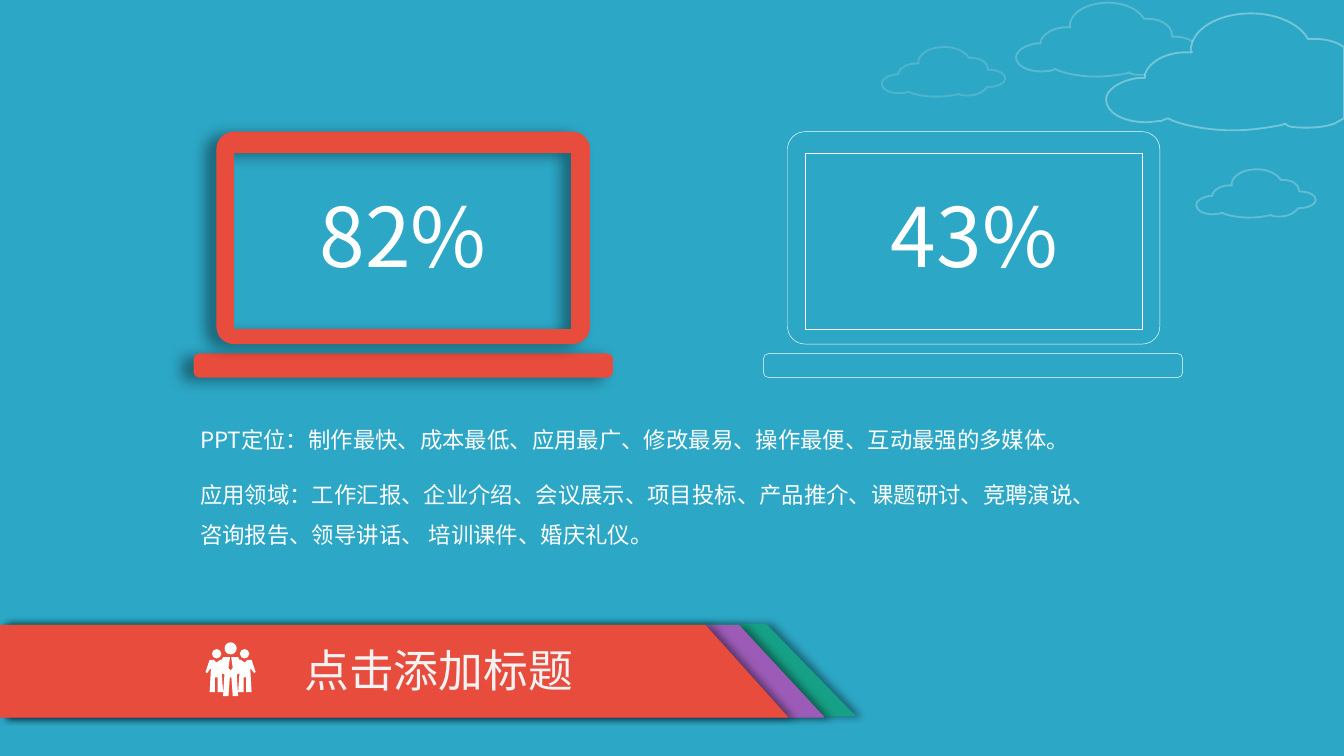
from lxml import etree
from pptx import Presentation
from pptx.dml.color import RGBColor
from pptx.enum.shapes import MSO_SHAPE
from pptx.enum.text import MSO_AUTO_SIZE, PP_ALIGN
from pptx.oxml.ns import qn
from pptx.util import Inches, Pt

RECTANGLE = MSO_SHAPE.RECTANGLE
GROW = MSO_AUTO_SIZE.SHAPE_TO_FIT_TEXT
LEFT, CENTER = PP_ALIGN.LEFT, PP_ALIGN.CENTER

FONT = "Noto Sans CJK SC"
COLORS = {"sky": "2CA7C6", "red": "E84C3D", "purple": "9C5BB7",
          "green": "16A086", "white": "FFFFFF", "title": "F2F2F2", "shadow": "000000"}
WIDTH, HEIGHT = 10, 10 * 9 / 16
UNITS = 1000  # freeform units per inch

BANNER_SHADOW = {"blur": 4, "distance": 3, "angle": 0}
LAPTOP_SHADOW = {"blur": 8, "distance": 6, "angle": 163}

# left, top, right at top, right at bottom, colour
STRIPES = [(0.02, 4.64, 5.7, 6.36, "green"),
           (0, 4.65, 5.5, 6.13, "purple"),
           (0, 4.65, 5.25, 5.86, "red")]

# In outlines, two numbers draw a line and six numbers draw a Bezier curve
CLOUD_SIZE = (213, 87)
CLOUD_TOP = [(108, 0), (126, 0, 142, 7, 149, 17), (150, 19), (155, 19)]
CLOUD_RIGHT = [(170, 19, 183, 27, 183, 38), (183, 40), (189, 40),
               (202, 41, 213, 47, 213, 55), (213, 63, 199, 70, 183, 70), (182, 70),
               (181, 71), (175, 79, 163, 85, 150, 85)]
CLOUD_RIGHT_CUT = [(164, 19, 171, 21, 177, 25), (177, 78), (170, 82),
                   (164, 84, 158, 85, 150, 85)]
CLOUD_LEFT = [
    (145, 85, 140, 85, 136, 84), (133, 82), (131, 83),
    (120, 85, 108, 87, 95, 87), (77, 87, 61, 84, 50, 80), (46, 78), (41, 80),
    (38, 80, 34, 81, 30, 81), (13, 81, 0, 74, 0, 64), (0, 57, 10, 50, 24, 48),
    (29, 48), (29, 45), (32, 36, 45, 29, 59, 29), (64, 29), (63, 28),
    (63, 12, 83, 0, 108, 0)]

# left, top, full width, height, right side, fill, line opacity in percent
CLOUDS = [(8.9, 1.26, 0.89, 0.36, CLOUD_RIGHT, None, 26),
          (7.56, 0.02, 1.35, 0.55, CLOUD_RIGHT, None, 22),
          (8.23, 0.1, 2.13, 0.87, CLOUD_RIGHT_CUT, "sky", 35),
          (6.56, 0.35, 0.92, 0.37, CLOUD_RIGHT, None, 16)]

# People icon, in hundredths of an inch: left half of the bodies, then the heads
ICON_AXIS = 171.6
HALF_BODIES = [
    (171.6, 499), (170, 497), (171, 490), (171, 489), (166, 489), (165, 491),
    (164, 491), (161, 493), (159, 491), (156, 491), (153, 500), (154, 501),
    (157, 497), (156, 515), (160, 515), (160, 504), (162, 504), (162, 515),
    (166, 515), (165, 501), (167, 502), (166, 518), (170, 518), (171, 504)]
HEADS = [(171.6, 482.5, 4.5), (161.2, 486.5, 3.5), (182, 486.5, 3.5)]


def rgb(name):
    return RGBColor.from_string(COLORS[name])


def add_child(parent, tag, **attributes):
    child = etree.SubElement(parent, qn(tag))
    for name, value in attributes.items():
        child.set(name, str(value))
    return child


def paint(shape, fill=None, line_width=None, opacity=100, shadow=None):
    """Set fill, white line with opacity in percent, and outer shadow."""
    if fill:
        shape.fill.solid()
        shape.fill.fore_color.rgb = rgb(fill)
    else:
        shape.fill.background()
    if line_width:
        shape.line.width = Pt(line_width)
        shape.line.color.rgb = rgb("white")
        if opacity < 100:
            color = shape.line._get_or_add_ln().find(".//" + qn("a:srgbClr"))
            add_child(color, "a:alpha", val=opacity * 1000)
    else:
        shape.line.fill.background()
    shape.shadow.inherit = False
    if shadow:
        effects = shape._element.spPr.find(qn("a:effectLst"))
        outer = add_child(effects, "a:outerShdw", blurRad=Pt(shadow["blur"]),
                          dist=Pt(shadow["distance"]), dir=shadow["angle"] * 60000,
                          algn="ctr", rotWithShape=0)
        color = add_child(outer, "a:srgbClr", val=COLORS["shadow"])
        add_child(color, "a:alpha", val=40000)


def transform(outline, scale_x, scale_y, left=0, top=0):
    return [tuple(left + value * scale_x if index % 2 == 0 else top + value * scale_y
                  for index, value in enumerate(part)) for part in outline]


def add_outline(shapes, contours, **look):
    """Draw closed contours of lines and curves, in inches, as one freeform."""
    scaled = [transform(contour, UNITS, UNITS) for contour in contours]
    builder = shapes.build_freeform(*scaled[0][0], scale=Inches(1) / UNITS)
    for index, contour in enumerate(scaled):
        if index:
            builder.move_to(*contour[0])
        builder.add_line_segments([part[-2:] for part in contour[1:]], close=True)
    shape = builder.convert_to_shape()

    ends = [part[-2:] for contour in scaled for part in contour]
    left, top = (min(round(end[axis]) for end in ends) for axis in (0, 1))
    lines = shape._element.findall(".//" + qn("a:lnTo"))
    segments = [part for contour in scaled for part in contour[1:]]
    for line, part in zip(lines, segments):
        if len(part) == 6:
            line.tag = qn("a:cubicBezTo")
            line.remove(line[0])
            for x, y in zip(part[::2], part[1::2]):
                add_child(line, "a:pt", x=round(x) - left, y=round(y) - top)
    paint(shape, **look)


def rounded(x1, y1, x2, y2, radius):
    """Outline of a rounded rectangle; a square of two radii gives a circle."""
    near = radius * 0.45
    return [(x2 - radius, y1), (x1 + radius, y1),
            (x1 + near, y1, x1, y1 + near, x1, y1 + radius), (x1, y2 - radius),
            (x1, y2 - near, x1 + near, y2, x1 + radius, y2), (x2 - radius, y2),
            (x2 - near, y2, x2, y2 - near, x2, y2 - radius), (x2, y1 + radius),
            (x2, y1 + near, x2 - near, y1, x2 - radius, y1)]


def add_cloud(shapes, left, top, width, height, right_side, fill, opacity):
    outline = transform(CLOUD_TOP + right_side + CLOUD_LEFT,
                        width / CLOUD_SIZE[0], height / CLOUD_SIZE[1], left, top)
    add_outline(shapes, [outline], fill=fill, line_width=1, opacity=opacity)


def add_people_icon(shapes):
    mirrored = [(2 * ICON_AXIS - x, y) for x, y in reversed(HALF_BODIES[1:])]
    heads = [rounded(x - r, y - r, x + r, y + r, r) for x, y, r in HEADS]
    contours = [HALF_BODIES + mirrored] + heads
    add_outline(shapes, [transform(contour, 0.01, 0.01) for contour in contours],
                fill="white")


def add_text(shapes, box, text, size, color="white", align=LEFT, spacing=None):
    text_box = shapes.add_textbox(*map(Inches, box))
    frame = text_box.text_frame
    frame.word_wrap = True
    frame.auto_size = GROW
    paragraph = frame.paragraphs[0]
    for name, value in {"alignment": align, "line_spacing": spacing}.items():
        setattr(paragraph, name, value)
    run = paragraph.add_run()
    run.text = text
    for name, value in {"size": Pt(size), "name": FONT}.items():
        setattr(run.font, name, value)
    run.font.color.rgb = rgb(color)
    add_child(run._r.get_or_add_rPr(), "a:ea", typeface=FONT)


def add_laptop(slide, base_left, frame_left, text_left, text_width, percent, **look):
    """Draw base, screen frame and percentage as one group."""
    shapes = slide.shapes.add_group_shape().shapes
    add_outline(shapes, [rounded(base_left, 2.63, base_left + 3.12, 2.81, 0.04)], **look)
    frame = rounded(frame_left, 0.98, base_left + 2.95, 2.56, 0.13)
    x1, x2 = frame_left + 0.13, frame_left + 2.64
    screen = [(x2, 2.45), (x1, 2.45), (x1, 1.14), (x2, 1.14)]
    add_outline(shapes, [frame, screen], **look)
    add_text(shapes, (text_left, 1.33, text_width, 0.84), percent, 44, align=CENTER)


def main():
    presentation = Presentation()
    presentation.slide_width, presentation.slide_height = Inches(WIDTH), Inches(HEIGHT)
    slide = presentation.slides.add_slide(presentation.slide_layouts[6])
    shapes = slide.shapes

    paint(shapes.add_shape(RECTANGLE, 0, 0, Inches(WIDTH), Inches(HEIGHT)), fill="sky")
    for left, top, right_top, right_bottom, color in STRIPES:
        bottom = top + 0.69
        stripe = [(right_top, top), (left, top), (left, bottom),
                  (right_bottom, bottom), (right_bottom, bottom - 0.01)]
        add_outline(shapes, [stripe], fill=color, shadow=BANNER_SHADOW)
    add_people_icon(shapes)
    for cloud in CLOUDS:
        add_cloud(shapes, *cloud)

    add_laptop(slide, 1.44, 1.61, 1.66, 2.68, "82%", fill="red", shadow=LAPTOP_SHADOW)
    add_laptop(slide, 5.68, 5.86, 6.24, 2.02, "43%", line_width=0.25)

    description = shapes.add_group_shape().shapes
    add_text(description, (1.39, 3.02, 6.92, 0.4),
             "PPT定位：制作最快、成本最低、应用最广、修改最易、操作最便、互动最强的多媒体。",
             12, spacing=1.5)
    add_text(description, (1.39, 3.43, 6.75, 0.71),
             "应用领域：工作汇报、企业介绍、会议展示、项目投标、产品推介、课题研讨、竞聘演说、"
             "咨询报告、领导讲话、 培训课件、婚庆礼仪。", 12, spacing=1.5)
    add_text(shapes, (1.53, 4.73, 3.47, 0.5), "点击添加标题", 24, "title", CENTER)
    presentation.save("out.pptx")


if __name__ == "__main__":
    main()
